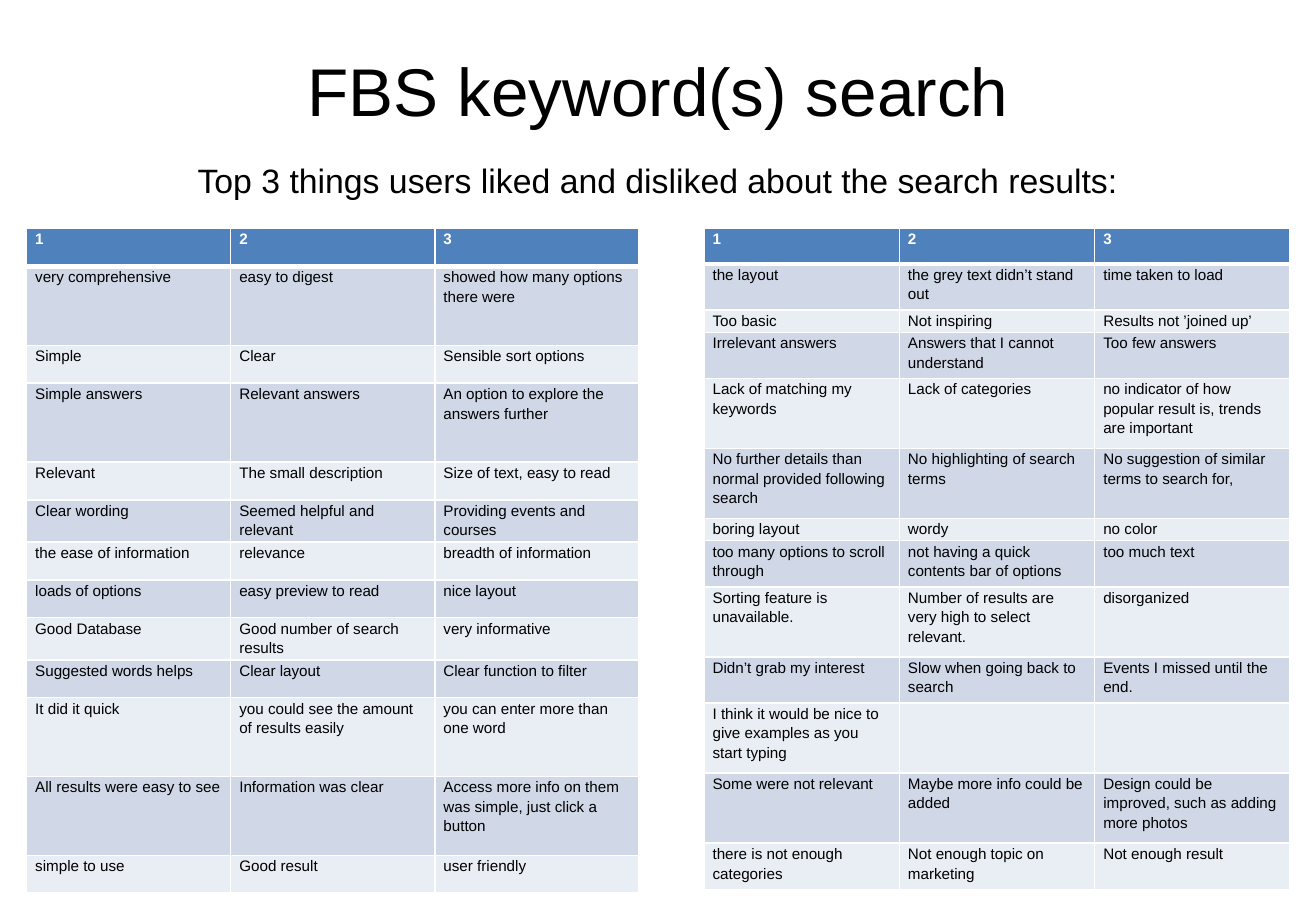
"""Build the slide on what users liked and disliked about the search results."""
from lxml import etree
from pptx import Presentation
from pptx import util as u
from pptx.dml import color
from pptx.enum import text
from pptx.oxml import ns

COLORS = {"header": "4F81BD", "odd": "D0D8E8", "even": "E9EDF4", "white": "FFFFFF", "black": "000000"}

LIKED = [
    ("1", "2", "3"),
    ("very comprehensive", "easy to digest", "showed how many options there were"),
    ("Simple", "Clear", "Sensible sort options"),
    ("Simple answers", "Relevant answers", "An option to explore the answers further"),
    ("Relevant", "The small description", "Size of text, easy to read"),
    ("Clear wording", "Seemed helpful and relevant", "Providing events and courses"),
    ("the ease of information", "relevance", "breadth of information"),
    ("loads of options", "easy preview to read", "nice layout"),
    ("Good Database", "Good number of search results", "very informative"),
    ("Suggested words helps", "Clear layout", "Clear function to filter"),
    ("It did it quick", "you could see the amount of results easily", "you can enter more than one word"),
    ("All results were easy to see", "Information was clear",
     "Access more info on them was simple, just click a button"),
    ("simple to use", "Good result", "user friendly"),
]
DISLIKED = [
    ("1", "2", "3"),
    ("the layout", "the grey text didn’t stand out", "time taken to load"),
    ("Too basic", "Not inspiring", "Results not ’joined up’"),
    ("Irrelevant answers", "Answers that I cannot understand", "Too few answers"),
    ("Lack of matching my keywords", "Lack of categories",
     "no indicator of how popular result is, trends are important"),
    ("No further details than normal provided following search", "No highlighting of search terms",
     "No suggestion of similar terms to search for,"),
    ("boring layout", "wordy", "no color"),
    ("too many options to scroll through", "not having a quick contents bar of options", "too much text"),
    ("Sorting feature is unavailable.", "Number of results are very high to select relevant.", "disorganized"),
    ("Didn’t grab my interest", "Slow when going back to search", "Events I missed until the end."),
    ("I think it would be nice to give examples as you start typing", "", ""),
    ("Some were not relevant", "Maybe more info could be added",
     "Design could be improved, such as adding more photos"),
    ("there is not enough categories", "Not enough topic on marketing", "Not enough result"),
]
SHORT, TALL = 22.5, 46.7
ONE, TWO, THREE = 13.2, 27.4, 41.5
LIKED_HEIGHTS = [SHORT, TALL, SHORT, TALL] + [SHORT] * 6 + [TALL, TALL, SHORT]
DISLIKED_HEIGHTS = [20.9, TWO, ONE, TWO, THREE, THREE, ONE, TWO, THREE, TWO, THREE, THREE, TWO]


def style_paragraph(paragraph, size, color_name, bold=False):
    paragraph.font.name = "Arial"
    paragraph.font.size = u.Pt(size)
    paragraph.font.bold = bold
    paragraph.font.color.rgb = color.RGBColor.from_string(COLORS[color_name])


def add_border(cell, side, width):
    line = etree.SubElement(cell._tc.get_or_add_tcPr(), ns.qn(f"a:ln{side}"), w=str(u.Pt(width)))
    fill = etree.SubElement(line, ns.qn("a:solidFill"))
    etree.SubElement(fill, ns.qn("a:srgbClr"), val=COLORS["white"])


presentation = Presentation()
presentation.slide_width, presentation.slide_height = u.Pt(780), u.Pt(540)
slide = presentation.slides.add_slide(presentation.slide_layouts[6])

for wording, top, height, size in [
    ("FBS keyword(s) search", 29, 48, 40),
    ("Top 3 things users liked and disliked about the search results:", 94.5, 26, 20),
]:
    heading = slide.shapes.add_textbox(u.Pt(39), u.Pt(top), u.Pt(702), u.Pt(height))
    frame = heading.text_frame
    frame.word_wrap = True
    frame.margin_top = frame.margin_bottom = 0
    paragraph = frame.paragraphs[0]
    paragraph.text = wording
    paragraph.alignment = text.PP_ALIGN.CENTER
    style_paragraph(paragraph, size, "black")

for rows, heights, left, column_width in [
    (LIKED, LIKED_HEIGHTS, 15.8, 121),
    (DISLIKED, DISLIKED_HEIGHTS, 417.3, 115.8),
]:
    table = slide.shapes.add_table(
        len(rows), 3, u.Pt(left), u.Pt(135.5), u.Pt(3 * column_width), u.Pt(sum(heights))
    ).table
    for column in table.columns:
        column.width = u.Pt(column_width)
    for row_index, (words, height) in enumerate(zip(rows, heights)):
        table.rows[row_index].height = u.Pt(height)
        is_header = row_index == 0
        fill_name = "header" if is_header else "odd" if row_index % 2 else "even"
        for column_index, wording in enumerate(words):
            cell = table.cell(row_index, column_index)
            cell.margin_left = cell.margin_right = u.Pt(5.1)
            cell.margin_top = cell.margin_bottom = 0
            for side in "LRTB":
                below_header = (row_index, side) in [(0, "B"), (1, "T")]
                add_border(cell, side, 3 if below_header else 1)
            cell.fill.solid()
            cell.fill.fore_color.rgb = color.RGBColor.from_string(COLORS[fill_name])
            paragraph = cell.text_frame.paragraphs[0]
            paragraph.text = wording
            paragraph.line_spacing = 1.15
            style_paragraph(paragraph, 9, "white" if is_header else "black", is_header)

presentation.save("out.pptx")
